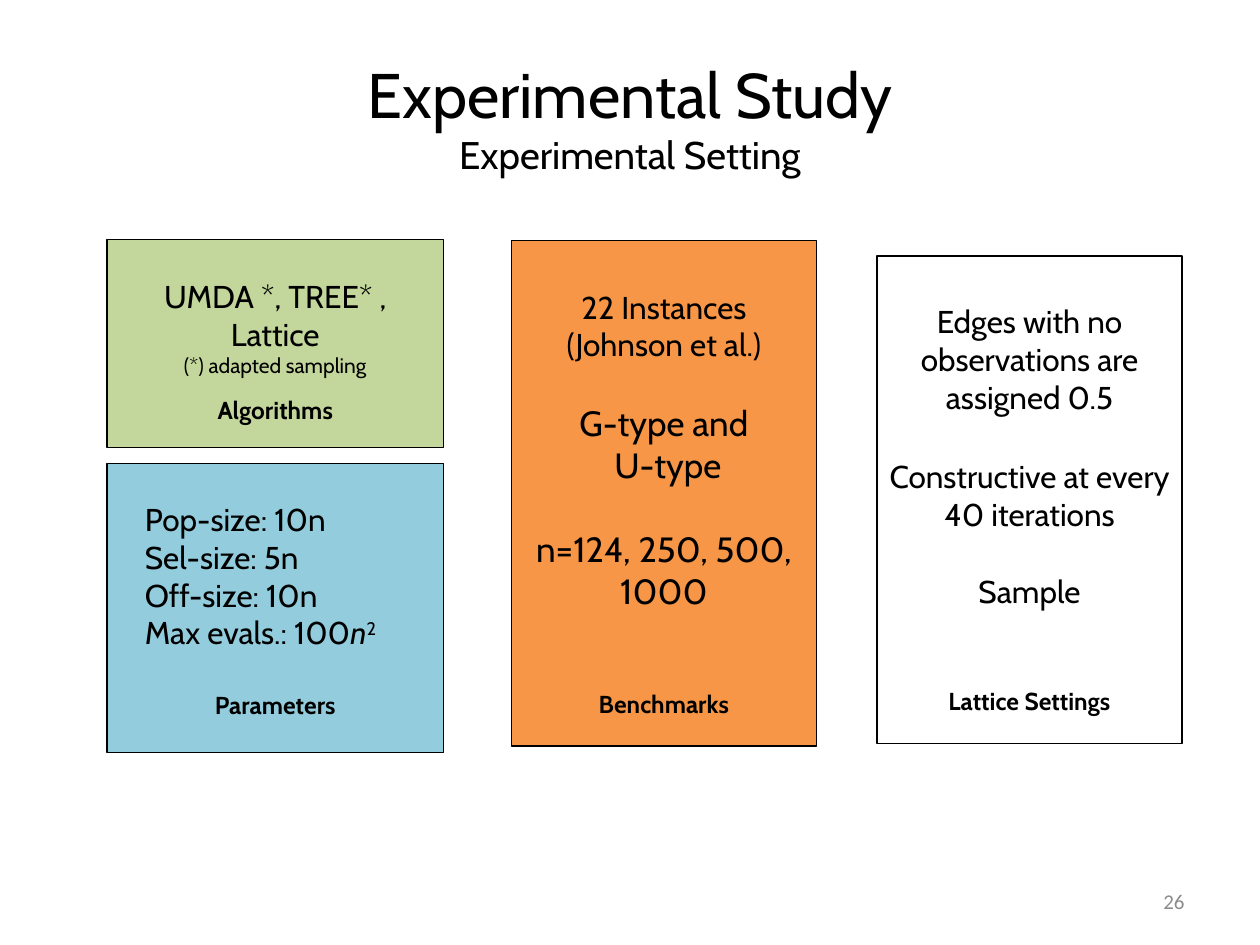
from pptx import Presentation
from pptx.dml.color import RGBColor
from pptx.enum.shapes import MSO_SHAPE
from pptx.enum.text import MSO_ANCHOR, PP_ALIGN
from pptx.util import Cm, Pt

BLACK = "000000"
TITLE = [("Experimental Study", 36), ("Experimental Setting", 22)]
PAGE_NUMBER = "26"
LABEL_SIZE = 14

PANELS = [
    {
        "at": (2.16, 4.83, 6.78, 4.19), "fill": "C3D69B", "bottom": 0.47,
        "lines": [("UMDA *, TREE* , Lattice", 18, 0), ("(*) adapted sampling", 12, 0)],
        "label": ("Algorithms", 9.8),
    },
    {
        "at": (2.16, 9.35, 6.78, 5.82), "fill": "93CDDD", "top": 0.73, "indent": 0.51,
        "lines": [
            ("Pop-size: 10n", 18, 0),
            ("Sel-size: 5n", 18, 0),
            ("Off-size: 10n", 18, 0),
            ([("Max evals.: 100", ""), ("n", "italic"), ("2", "superscript")], 18, 0),
        ],
        "label": ("Parameters", 22),
    },
    {
        "at": (10.31, 4.85, 6.15, 10.19), "fill": "F79646", "bottom": 0.56,
        "lines": [
            ("22 Instances (Johnson et al.)", 18, 0),
            ("G-type and", 20, 22),
            (" U-type", 20, 0),
            ("n=124, 250, 500, 1000", 20, 24),
        ],
        "label": ("Benchmarks", 44),
    },
    {
        "at": (17.68, 5.16, 6.15, 9.83), "fill": None, "bottom": 0.56,
        "lines": [
            ("Edges with no observations are assigned 0.5", 18, 0),
            ("Constructive at every 40 iterations", 18, 24),
            ("Sample", 18, 22),
        ],
        "label": ("Lattice Settings", 44),
    },
]


def color(value):
    return RGBColor.from_string(value)


def format_font(font, size, name="Cabin", tint=BLACK, bold=False):
    font.name = name
    font.size = Pt(size)
    font.bold = bold
    font.color.rgb = color(tint)


def add_text_box(slide, left, top, width, height):
    box = slide.shapes.add_textbox(Cm(left), Cm(top), Cm(width), Cm(height))
    box.text_frame.word_wrap = True
    box.text_frame.vertical_anchor = MSO_ANCHOR.MIDDLE
    return box.text_frame


def add_title(slide):
    para = add_text_box(slide, 1.27, 0.76, 22.86, 3.18).paragraphs[0]
    para.alignment = PP_ALIGN.CENTER
    for index, (text, size) in enumerate(TITLE):
        if index:
            para.add_line_break()
        span = para.add_run()
        span.text = text
        format_font(span.font, size)


def add_page_number(slide):
    frame = add_text_box(slide, 18.2, 17.65, 5.93, 1.02)
    frame.text = PAGE_NUMBER
    para = frame.paragraphs[0]
    para.alignment = PP_ALIGN.RIGHT
    format_font(para.runs[0].font, 12, "Calibri", "8C8C8C")


def fill_paragraph(para, content, size, before, bold=False):
    para.alignment = PP_ALIGN.CENTER
    if before:
        para.space_before = Pt(before)
    parts = [(content, "")] if isinstance(content, str) else content
    for text, style in parts:
        span = para.add_run()
        span.text = text
        format_font(span.font, size, bold=bold)
        if style == "italic":
            span.font.italic = True
        if style == "superscript":
            span.font._element.set("baseline", "30000")


def add_panel(slide, panel):
    box = slide.shapes.add_shape(MSO_SHAPE.RECTANGLE, *map(Cm, panel["at"]))
    box.shadow.inherit = False
    if panel["fill"]:
        box.fill.solid()
        box.fill.fore_color.rgb = color(panel["fill"])
    else:
        box.fill.background()
    box.line.color.rgb = color(BLACK)
    box.line.width = Pt(0.75)

    frame = box.text_frame
    frame.word_wrap = True
    frame.vertical_anchor = MSO_ANCHOR.TOP if "top" in panel else MSO_ANCHOR.BOTTOM
    frame.margin_top = Cm(panel.get("top", 0.13))
    frame.margin_bottom = Cm(panel.get("bottom", 0.13))
    for index, (content, size, before) in enumerate(panel["lines"]):
        para = frame.add_paragraph() if index else frame.paragraphs[0]
        fill_paragraph(para, content, size, before)
        if "indent" in panel:
            para.alignment = PP_ALIGN.LEFT
            para._p.get_or_add_pPr().set("marL", str(Cm(panel["indent"])))
    label, before = panel["label"]
    fill_paragraph(frame.add_paragraph(), label, LABEL_SIZE, before, bold=True)


def main():
    deck = Presentation()
    deck.slide_width, deck.slide_height = Cm(25.4), Cm(19.05)
    slide = deck.slides.add_slide(deck.slide_layouts[6])
    add_title(slide)
    add_page_number(slide)
    for panel in PANELS:
        add_panel(slide, panel)
    deck.save("out.pptx")


if __name__ == "__main__":
    main()
